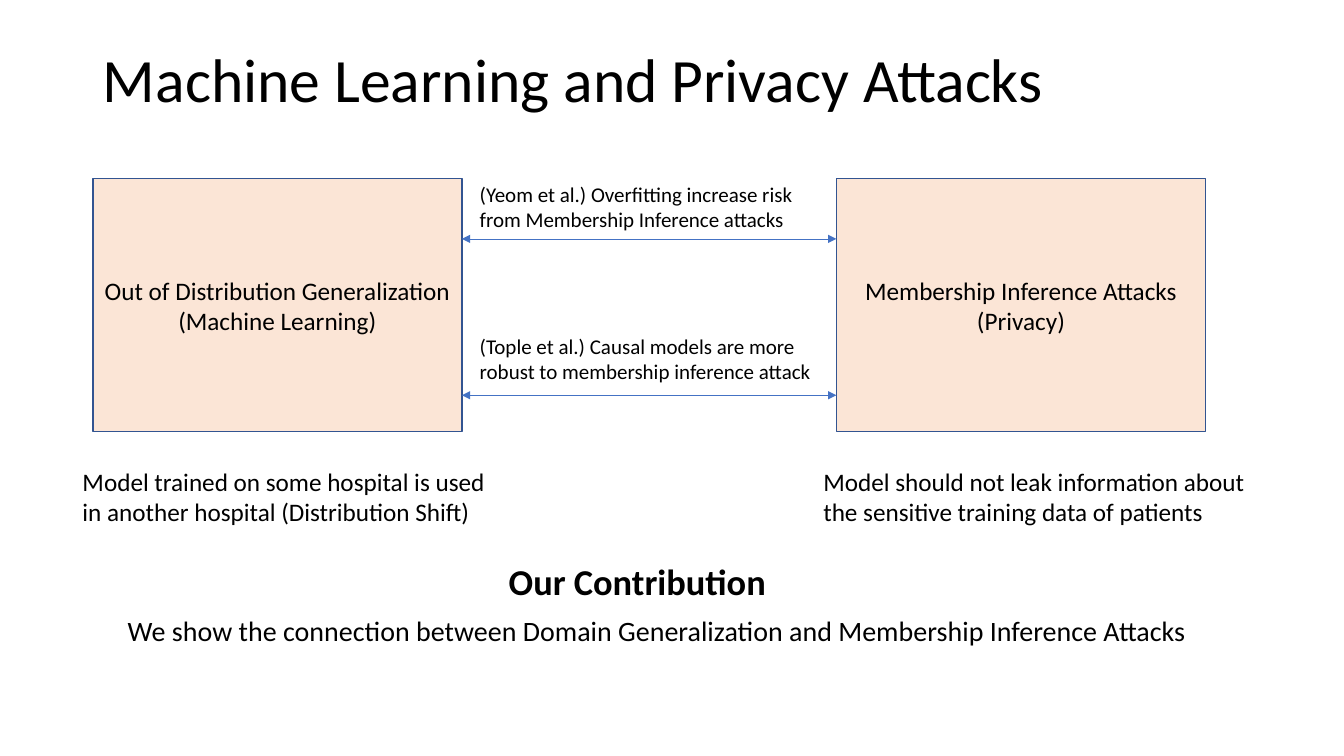
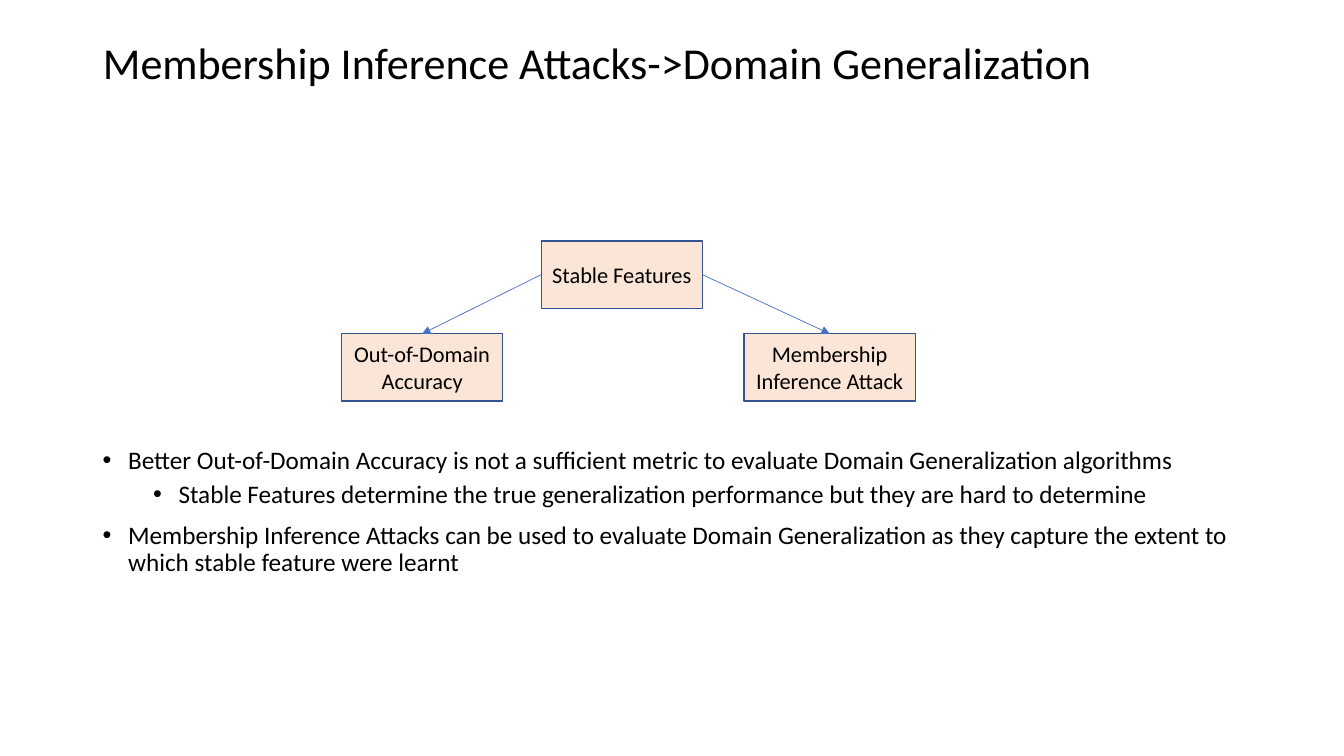
from lxml import etree
from pptx import Presentation
from pptx import util as u
from pptx.dml.color import RGBColor
from pptx.enum import shapes, text
from pptx.oxml import ns

BLACK = RGBColor(0x00, 0x00, 0x00)
PEACH = RGBColor(0xFB, 0xE5, 0xD6)
BORDER = RGBColor(0x32, 0x54, 0x91)
BLUE = RGBColor(0x44, 0x72, 0xC4)
FONT = "Calibri"
MARGIN = 2.34


def write(frame, words, size=18, bold=False, align=text.PP_ALIGN.LEFT,
          anchor=text.MSO_ANCHOR.TOP, spacing=1.0):
    """Fill a text frame, one paragraph for each line of words."""
    frame.word_wrap = True
    frame.auto_size = text.MSO_AUTO_SIZE.NONE
    frame.vertical_anchor = anchor
    frame.text = words
    for paragraph in frame.paragraphs:
        paragraph.alignment = align
        paragraph.line_spacing = spacing
        font = paragraph.runs[0].font
        font.name, font.size, font.bold = FONT, u.Pt(size), bold
        font.color.rgb = BLACK


def add_arrow(slide, start, end, ends=("tailEnd",)):
    """Draw a thin arrow between two points given as lengths."""
    arrow = slide.shapes.add_connector(
        shapes.MSO_CONNECTOR.STRAIGHT, *start, *end)
    arrow.line.color.rgb = BLUE
    arrow.line.width = u.Pt(0.5)
    properties = arrow._element.spPr
    outline = properties.find(ns.qn("a:ln"))
    for name in ends:
        etree.SubElement(outline, ns.qn("a:" + name), type="triangle")
    etree.SubElement(properties, ns.qn("a:effectLst"))
    return arrow


deck = Presentation()
deck.slide_width, deck.slide_height = u.Cm(33.87), u.Cm(19.05)

# Titles
slides = []
for heading, width, height, size in [
    ("Machine Learning and Privacy Attacks", 25.58, 2.13, 44),
    ("Membership Inference Attacks->Domain Generalization", 29.21, 1.27, 31.5),
]:
    slide = deck.slides.add_slide(deck.slide_layouts[5])
    title = slide.shapes.title
    title.left, title.top = u.Cm(MARGIN), u.Cm(1.02)
    title.width, title.height = u.Cm(width), u.Cm(height)
    write(title.text_frame, heading, size=size, spacing=0.9,
          anchor=text.MSO_ANCHOR.MIDDLE)
    slides.append(slide)
attacks, features = slides

# Boxes of both diagrams
boxes = []
for slide, label, left, top, width, height, size in [
    (attacks, "Out of Distribution Generalization (Machine Learning)",
     MARGIN, 4.5, 9.3, 6.38, 18),
    (attacks, "Membership Inference Attacks\n(Privacy)",
     21.08, 4.5, 9.3, 6.38, 18),
    (features, "Out-of-Domain Accuracy", 8.61, 8.41, 4.06, 1.7, 16),
    (features, "Membership Inference Attack", 18.75, 8.41, 4.32, 1.7, 16),
    (features, "Stable Features", 13.64, 6.07, 4.06, 1.7, 16),
]:
    box = slide.shapes.add_shape(shapes.MSO_SHAPE.RECTANGLE, u.Cm(left),
                                 u.Cm(top), u.Cm(width), u.Cm(height))
    box.shadow.inherit = False
    box.fill.solid()
    box.fill.fore_color.rgb = PEACH
    box.line.color.rgb = BORDER
    box.line.width = u.Pt(1)
    write(box.text_frame, label, size=size, align=text.PP_ALIGN.CENTER,
          anchor=text.MSO_ANCHOR.MIDDLE)
    boxes.append(box)
generalization, privacy, accuracy, inference, stable = boxes

# Slide 1: two-way arrows between the fields
for height in (6.02, 9.96):
    add_arrow(attacks,
              (generalization.left + generalization.width, u.Cm(height)),
              (privacy.left, u.Cm(height)), ends=("headEnd", "tailEnd"))

# Slide 1: findings, examples and contribution
for words, left, top, width, height, size, bold in [
    ("(Yeom et al.) Overfitting increase risk from Membership Inference "
     "attacks", 11.84, 4.45, 9.25, 1.55, 15, False),
    ("(Tople et al.) Causal models are more robust to membership inference "
     "attack", 11.84, 8.28, 9.25, 1.55, 15, False),
    ("Model trained on some hospital is used in another hospital "
     "(Distribution Shift)", 1.83, 11.63, 11.2, 1.8, 18, False),
    ("Model should not leak information about the sensitive training data "
     "of patients", 20.5, 11.63, 11.56, 1.8, 18, False),
    ("Our Contribution", 12.57, 13.97, 12.4, 1.37, 26, True),
    ("We show the connection between Domain Generalization and Membership "
     "Inference Attacks", 2.97, 15.34, 28.27, 1.88, 20, False),
]:
    note = attacks.shapes.add_textbox(u.Cm(left), u.Cm(top),
                                      u.Cm(width), u.Cm(height))
    write(note.text_frame, words, size=size, bold=bold)

# Slide 2: arrows from the stable features, joined side (1 or 3) to top (0)
for effect, side in [(accuracy, 1), (inference, 3)]:
    arrow = add_arrow(features, (stable.left, stable.top),
                      (effect.left, effect.top))
    arrow.begin_connect(stable, side)
    arrow.end_connect(effect, 0)

# Slide 2: bulleted conclusions
conclusions = [
    (0, "Better Out-of-Domain Accuracy is not a sufficient metric to evaluate "
        "Domain Generalization algorithms"),
    (1, "Stable Features determine the true generalization performance but "
        "they are hard to determine"),
    (0, "Membership Inference Attacks can be used to evaluate Domain "
        "Generalization as they capture the extent to which stable feature "
        "were learnt"),
]
body = features.shapes.add_textbox(u.Cm(MARGIN), u.Cm(11.15),
                                   u.Cm(29.21), u.Cm(5.21)).text_frame
write(body, "\n".join(words for _, words in conclusions), spacing=0.9)
for paragraph, (level, _) in zip(body.paragraphs, conclusions):
    paragraph.level = level
    paragraph.space_before = u.Pt(5 if level else 10)
    properties = paragraph._p.get_or_add_pPr()
    properties.set("marL", str(u.Cm(0.64 + 1.27 * level)))
    properties.set("indent", str(-u.Cm(0.64)))
    etree.SubElement(properties, ns.qn("a:buFont"), typeface="Arial")
    etree.SubElement(properties, ns.qn("a:buChar"), char="•")

deck.save("out.pptx")
